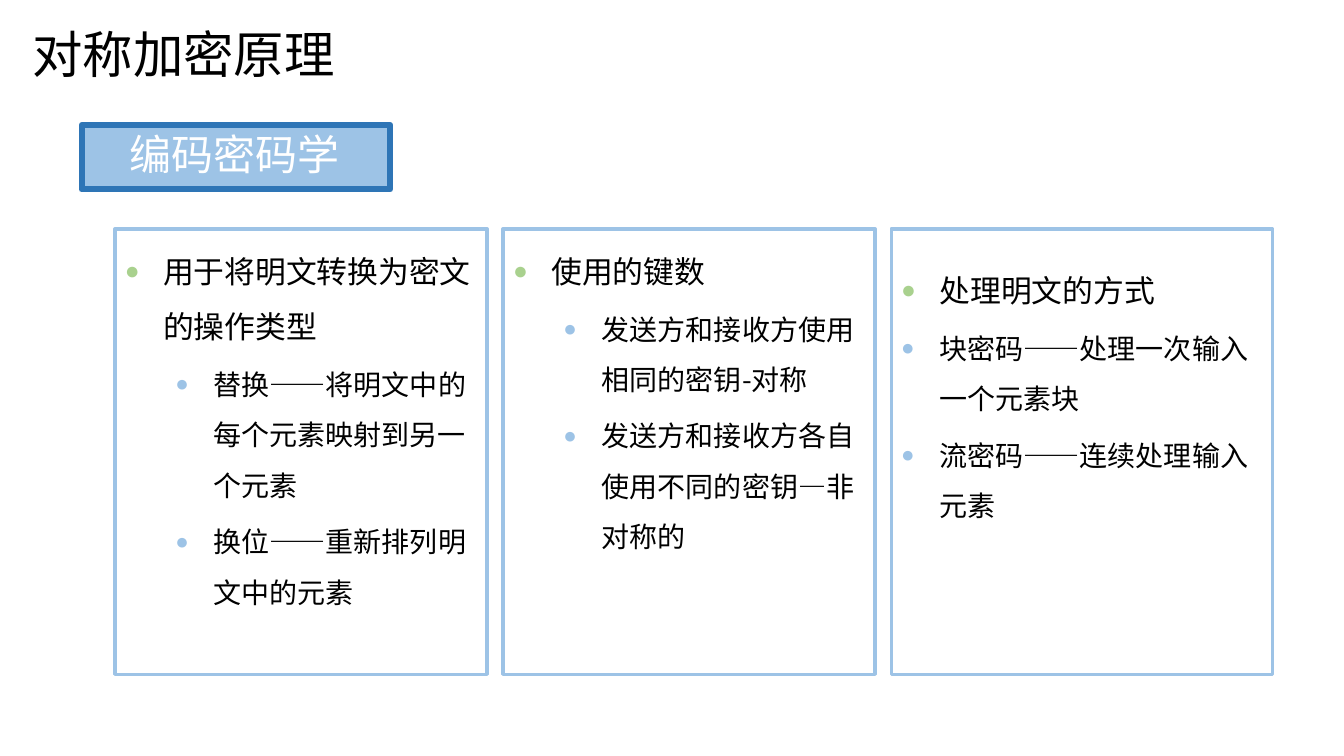
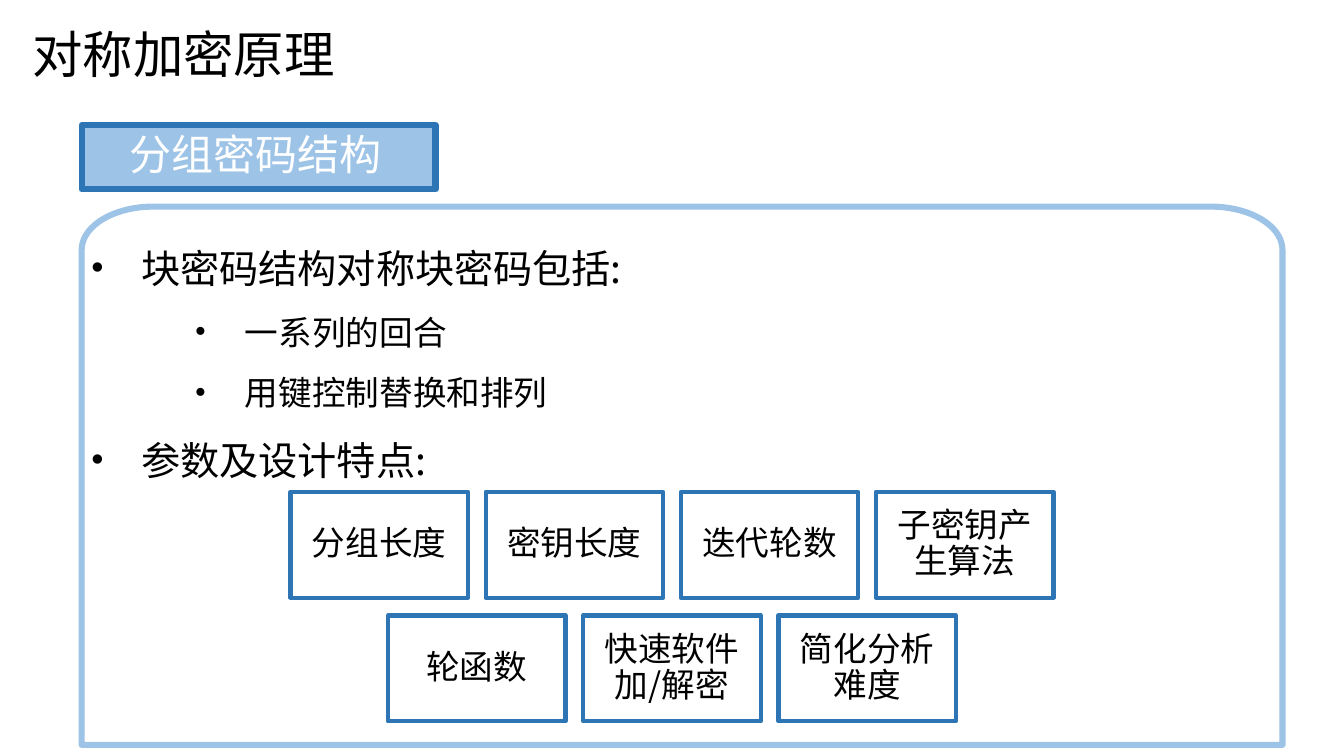
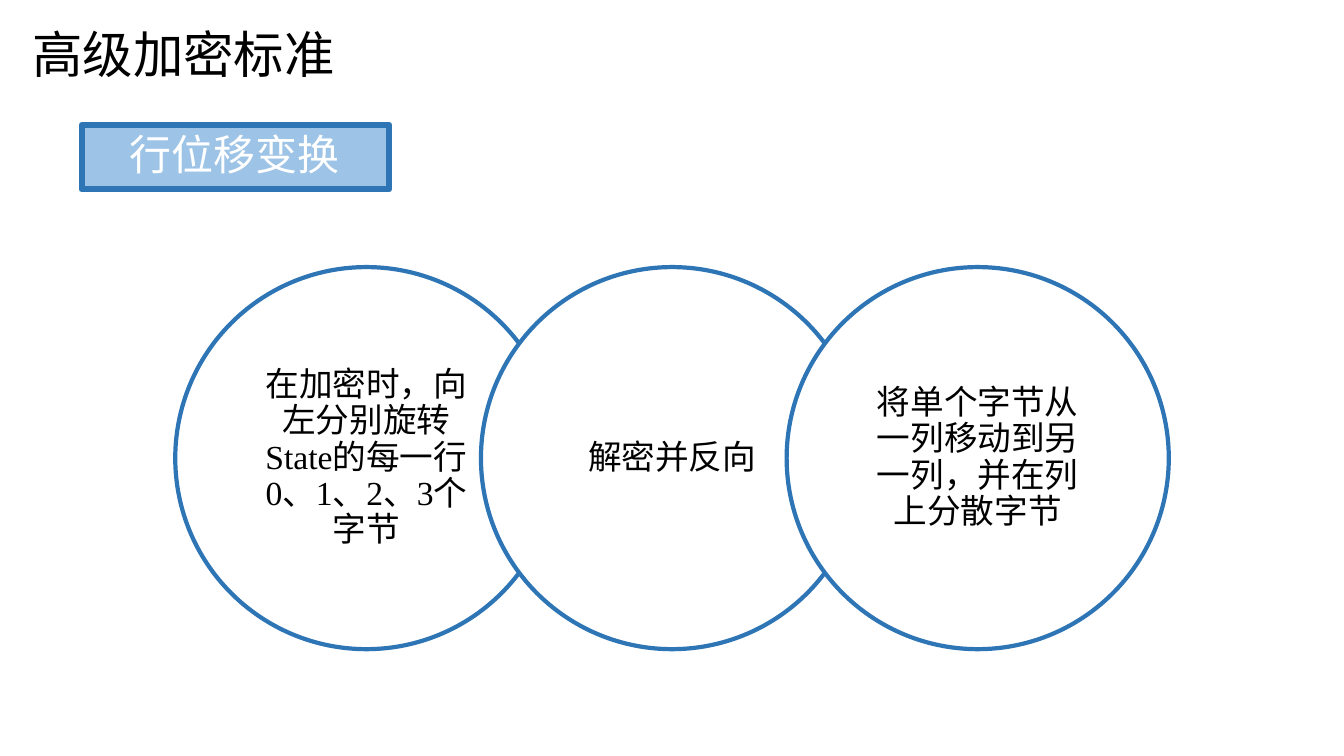
from math import cos, radians, sin

from lxml import etree
from pptx import Presentation
from pptx.dml.color import RGBColor
from pptx.enum.shapes import MSO_SHAPE
from pptx.enum.text import MSO_ANCHOR, PP_ALIGN
from pptx.oxml.ns import qn
from pptx.util import Inches, Pt

RECTANGLE, OVAL = MSO_SHAPE.RECTANGLE, MSO_SHAPE.OVAL
TOP, MIDDLE = MSO_ANCHOR.TOP, MSO_ANCHOR.MIDDLE
LEFT, CENTER, JUSTIFY = PP_ALIGN.LEFT, PP_ALIGN.CENTER, PP_ALIGN.JUSTIFY

BLACK = RGBColor(0x00, 0x00, 0x00)
WHITE = RGBColor(0xFF, 0xFF, 0xFF)
BLUE = RGBColor(0x2E, 0x75, 0xB6)
LIGHT_BLUE = RGBColor(0x9D, 0xC3, 0xE6)
GREEN = RGBColor(0xA9, 0xD1, 0x8E)

SANS = "Noto Sans CJK SC"
SERIF = "Times New Roman"
SLIDE_WIDTH, SLIDE_HEIGHT = 13.33, 7.5


def add_span(para, text, size, color=BLACK, font=SANS):
    span = para.add_run()
    span.text = text
    span.font.size = Pt(size)
    span.font.color.rgb = color
    span.font.name = font
    etree.SubElement(span.font._element, qn("a:ea"), typeface=SANS)


def set_frame(box, insets, anchor):
    frame = box.text_frame
    frame.word_wrap = True
    frame.vertical_anchor = anchor
    left, top, right, bottom = insets
    frame.margin_left, frame.margin_top = Inches(left), Inches(top)
    frame.margin_right, frame.margin_bottom = Inches(right), Inches(bottom)
    return frame


def style_shape(shape, line, width, fill=None, round_join=True):
    shape.shadow.inherit = False
    if fill is None:
        shape.fill.background()
    else:
        shape.fill.solid()
        shape.fill.fore_color.rgb = fill
    shape.line.color.rgb = line
    shape.line.width = Pt(width)
    if round_join:
        etree.SubElement(shape.line._ln, qn("a:round"))


def add_shape(page, kind, left, top, width, height):
    return page.shapes.add_shape(
        kind, Inches(left), Inches(top), Inches(width), Inches(height))


def set_label(shape, text, size, insets, color=BLACK, font=SANS, align=CENTER):
    para = set_frame(shape, insets, MIDDLE).paragraphs[0]
    para.alignment = align
    para.line_spacing = 0.9
    add_span(para, text, size, color, font)


def add_bullet(para, char, indent, hanging, color=None, percent=100):
    properties = para._p.get_or_add_pPr()
    properties.set("marL", str(Inches(indent)))
    properties.set("indent", str(Inches(-hanging)))
    if color is not None:
        holder = etree.SubElement(properties, qn("a:buClr"))
        etree.SubElement(holder, qn("a:srgbClr"), val=str(color))
    etree.SubElement(properties, qn("a:buSzPct"), val=str(percent * 1000))
    etree.SubElement(properties, qn("a:buFont"), typeface=SERIF)
    etree.SubElement(properties, qn("a:buChar"), char=char)


def add_list(frame, items, styles, align, space_before):
    for index, (level, text) in enumerate(items):
        para = frame.add_paragraph() if index else frame.paragraphs[0]
        size, bullet = styles[level]
        add_bullet(para, *bullet)
        para.level = level
        para.alignment = align
        para.line_spacing = 1.5
        if index:
            para.space_before = Pt(space_before)
        add_span(para, text, size)


def add_page(deck, title, topic, topic_width):
    page = deck.slides.add_slide(deck.slide_layouts[6])
    box = page.shapes.add_textbox(Inches(0.21), 0, Inches(5.91), Inches(1.06))
    frame = set_frame(box, (0.11, 0.06, 0.11, 0.06), MIDDLE)
    add_span(frame.paragraphs[0], title, 36)
    tag = add_shape(page, RECTANGLE, 0.81, 1.24, topic_width, 0.64)
    style_shape(tag, BLUE, 4.33, LIGHT_BLUE)
    set_label(tag, topic, 30, (0.47, 0, 0.47, 0), WHITE, align=LEFT)
    return page


def add_column(page, left, width, items, sub_indent=0.88, top_inset=0.05):
    column = add_shape(page, RECTANGLE, left, 2.27, width, 4.42)
    style_shape(column, LIGHT_BLUE, 2.5)
    frame = set_frame(column, (0.1, top_inset, 0.1, 0.05), TOP)
    styles = [
        (22, ("●", 0.38, 0.38, GREEN, 80)),
        (20, ("●", sub_indent, 0.38, LIGHT_BLUE, 80)),
    ]
    add_list(frame, items, styles, LEFT, 4.3)


def add_panel(page, items):
    left, top, right, bottom = 0.81, 2.05, 12.72, 7.39
    radius_x, radius_y = 0.71, 0.43
    corners = [(left + radius_x, 180), (right - radius_x, 270)]
    points = [
        (center + radius_x * cos(radians(start + turn)),
         top + radius_y + radius_y * sin(radians(start + turn)))
        for center, start in corners for turn in range(0, 91, 5)
    ]
    points.append((right, bottom))
    outline = page.shapes.build_freeform(Inches(left), Inches(bottom))
    outline.add_line_segments(
        [(Inches(across), Inches(down)) for across, down in points], close=True)
    panel = outline.convert_to_shape()
    style_shape(panel, LIGHT_BLUE, 4.33, WHITE)
    frame = set_frame(panel, (0.09, 0.14, 0.08, 0.03), TOP)
    styles = [(28, ("•", 0.5, 0.5)), (24, ("•", 1.53, 0.5))]
    add_list(frame, items, styles, JUSTIFY, 0)


def centered_lefts(count, width, step):
    start = (SLIDE_WIDTH - width - (count - 1) * step) / 2
    return [start + index * step for index in range(count)]


def add_tiles(page, rows):
    width, height = 1.76, 1.05
    gap = width / 10
    for index, labels in enumerate(rows):
        top = 4.88 + index * (height + gap)
        lefts = centered_lefts(len(labels), width, width + gap)
        for left, text in zip(lefts, labels):
            tile = add_shape(page, RECTANGLE, left, top, width, height)
            style_shape(tile, BLUE, 3, round_join=False)
            set_label(tile, text, 24, (0.1, 0.1, 0.1, 0.1))


def add_circles(page, labels):
    size = 3.79
    for left, text in zip(centered_lefts(len(labels), size, size * 0.8), labels):
        circle = add_shape(page, OVAL, left, 2.65, size, size)
        style_shape(circle, BLUE, 3, WHITE, round_join=False)
        set_label(circle, text, 24, (0.21, 0.03, 0.21, 0.03), font=SERIF)


def build_coding(deck):
    page = add_page(deck, "对称加密原理", "编码密码学", 3.06)
    add_column(page, 1.14, 3.69, [
        (0, "用于将明文转换为密文的操作类型"),
        (1, "替换——将明文中的每个元素映射到另一个元素"),
        (1, "换位——重新排列明文中的元素"),
    ])
    add_column(page, 4.99, 3.69, [
        (0, "使用的键数"),
        (1, "发送方和接收方使用相同的密钥-对称"),
        (1, "发送方和接收方各自使用不同的密钥—非对称的"),
    ])
    add_column(page, 8.84, 3.78, [
        (0, "处理明文的方式"),
        (1, "块密码——处理一次输入一个元素块"),
        (1, "流密码——连续处理输入元素"),
    ], sub_indent=0.38, top_inset=0.24)


def build_block_structure(deck):
    page = add_page(deck, "对称加密原理", "分组密码结构", 3.51)
    add_panel(page, [
        (0, "块密码结构对称块密码包括:"),
        (1, "一系列的回合"),
        (1, "用键控制替换和排列"),
        (0, "参数及设计特点:"),
    ])
    add_tiles(page, [
        ["分组长度", "密钥长度", "迭代轮数", "子密钥产生算法"],
        ["轮函数", "快速软件加/解密", "简化分析难度"],
    ])


def build_row_shift(deck):
    page = add_page(deck, "高级加密标准", "行位移变换", 3.05)
    add_circles(page, [
        "在加密时，向左分别旋转State的每一行0、1、2、3个字节",
        "解密并反向",
        "将单个字节从一列移动到另一列，并在列上分散字节",
    ])


def main():
    deck = Presentation()
    deck.slide_width = Inches(SLIDE_WIDTH)
    deck.slide_height = Inches(SLIDE_HEIGHT)
    build_coding(deck)
    build_block_structure(deck)
    build_row_shift(deck)
    deck.save("out.pptx")


if __name__ == "__main__":
    main()
